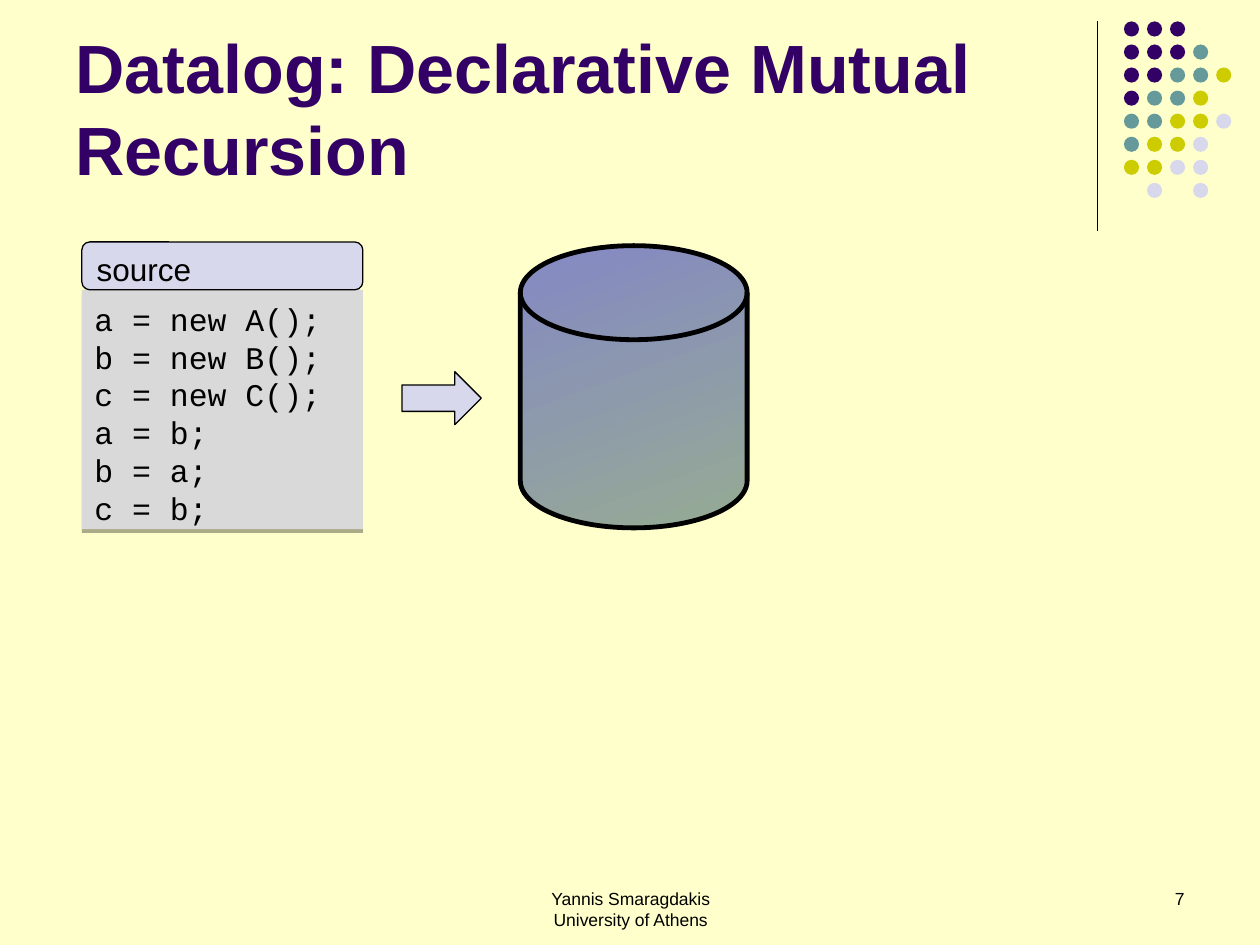
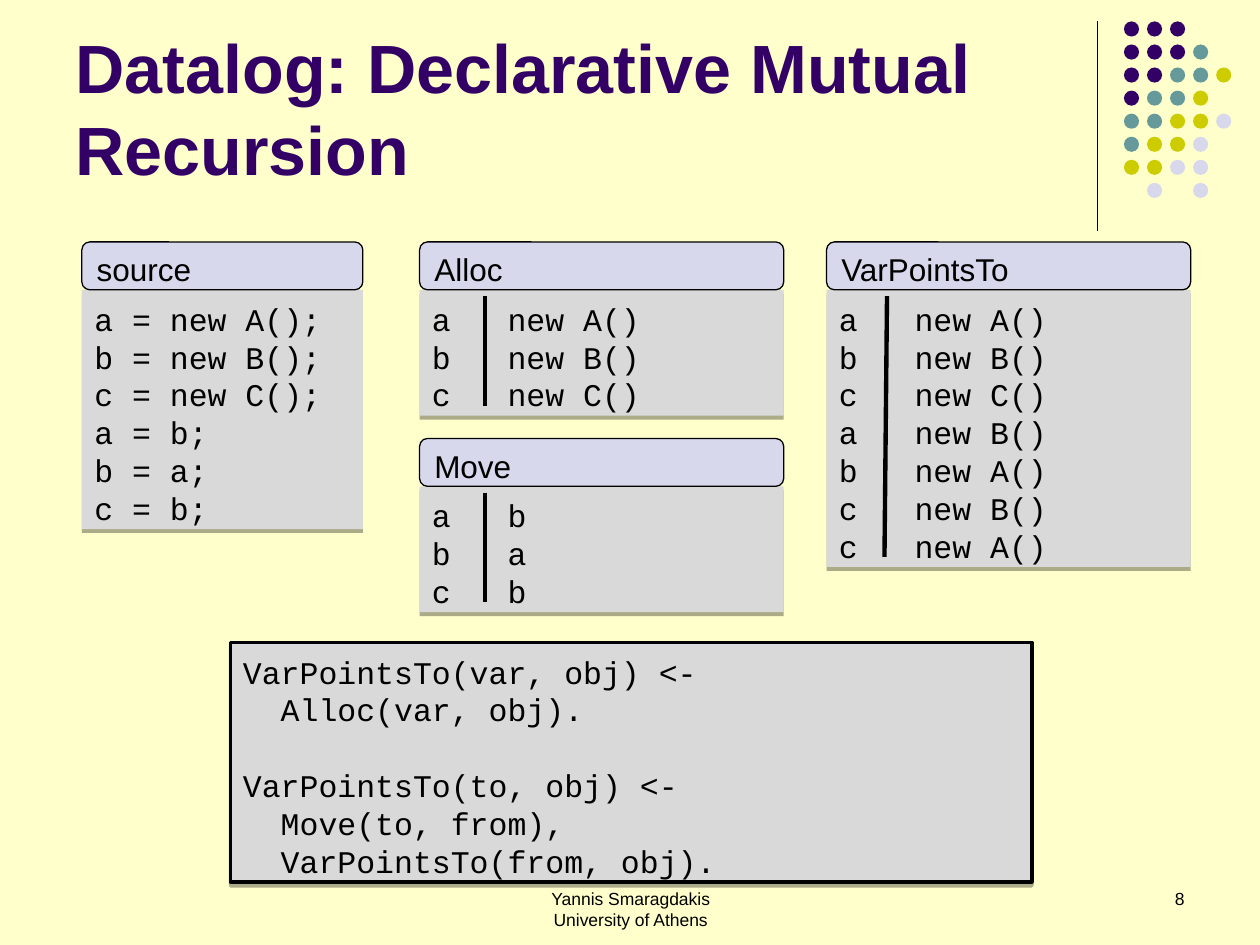
from lxml import etree
from pptx import Presentation
from pptx.dml.color import RGBColor
from pptx.enum.shapes import MSO_CONNECTOR, MSO_SHAPE
from pptx.enum.text import MSO_ANCHOR, MSO_AUTO_SIZE, PP_ALIGN
from pptx.oxml.ns import qn
from pptx.util import Inches, Pt

LEFT, CENTER, RIGHT = PP_ALIGN.LEFT, PP_ALIGN.CENTER, PP_ALIGN.RIGHT
TOP, BOTTOM = MSO_ANCHOR.TOP, MSO_ANCHOR.BOTTOM
NO_AUTOFIT = MSO_AUTO_SIZE.NONE
STRAIGHT = MSO_CONNECTOR.STRAIGHT
RECT, ROUNDED = MSO_SHAPE.RECTANGLE, MSO_SHAPE.ROUNDED_RECTANGLE
OVAL, ARROW = MSO_SHAPE.OVAL, MSO_SHAPE.RIGHT_ARROW
DISK = MSO_SHAPE.FLOWCHART_MAGNETIC_DISK

CREAM = RGBColor(0xFF, 0xFF, 0xCC)
PURPLE = RGBColor(0x33, 0x00, 0x66)
TEAL = RGBColor(0x66, 0x99, 0x99)
OLIVE = RGBColor(0xCC, 0xCC, 0x00)
LAVENDER = RGBColor(0xD8, 0xD8, 0xEC)
GREY = RGBColor(0xD9, 0xD9, 0xD9)
BLACK = RGBColor(0x00, 0x00, 0x00)
DISK_GREEN = RGBColor(0x96, 0xAB, 0x94)
DISK_BLUE = RGBColor(0x84, 0x88, 0xC4)

SANS, MONO = "Arial", "Courier New"
LEADING = 1.2

# Grid of 100 columns by 75 rows
WIDTH, HEIGHT = Inches(10), Inches(7.5)
COL, ROW = WIDTH / 100, HEIGHT / 75
HEADER_ROWS, LINE_ROWS, BODY_TOP = 3.8, 3, 23

TITLE = "Datalog: Declarative Mutual Recursion"
FOOTER = ["Yannis Smaragdakis", "University of Athens"]
DOT_COLOURS = {"P": PURPLE, "T": TEAL, "O": OLIVE, "L": LAVENDER}
DOTS = ["PPP", "PPPT", "PPTTO", "PTTO", "TTOOL", "TOOL", "OOLL", " L L"]
SOURCE = ["a = new A();", "b = new B();", "c = new C();",
          "a = b;", "b = a;", "c = b;"]
ALLOC = [("a", "new A()"), ("b", "new B()"), ("c", "new C()")]
MOVE = [("a", "b"), ("b", "a"), ("c", "b")]
VAR_POINTS_TO = ALLOC + [("a", "new B()"), ("b", "new A()"),
                         ("c", "new B()"), ("c", "new A()")]
RULES = [["VarPointsTo(var, obj) <-", "  Alloc(var, obj)."],
         ["VarPointsTo(to, obj) <-", "  Move(to, from),",
          "  VarPointsTo(from, obj)."]]


def grid(x, y, w, h):
    return round(x * COL), round(y * ROW), round(w * COL), round(h * ROW)


def write(tf, lines, size=18, font=SANS, color=BLACK, bold=False, align=LEFT,
          anchor=TOP, tab=None, gap_before=()):
    """Write one paragraph per line; gap_before lists lines after a gap."""
    tf.word_wrap = True
    tf.auto_size = NO_AUTOFIT
    tf.vertical_anchor = anchor
    tf.margin_left = tf.margin_right = Inches(0.1)
    # Monospaced text sits a little lower in its box
    shift = 0.03 if font == MONO else 0
    tf.margin_top, tf.margin_bottom = Inches(0.05 + shift), Inches(0.05 - shift)
    for i, line in enumerate(lines):
        p = tf.paragraphs[0] if i == 0 else tf.add_paragraph()
        p.alignment = align
        p.line_spacing = Pt(size * LEADING)
        p.space_before = Pt(size * LEADING if i in gap_before else 0)
        if tab:
            tabs = etree.SubElement(p._p.get_or_add_pPr(), qn("a:tabLst"))
            etree.SubElement(tabs, qn("a:tab"), pos=str(Inches(tab)), algn="l")
        r = p.add_run()
        r.text = line
        r.font.name, r.font.size, r.font.bold = font, Pt(size), bold
        r.font.color.rgb = color


def add_shape(slide, kind, place, fill=None, line=None):
    s = slide.shapes.add_shape(kind, *grid(*place))
    s.shadow.inherit = False
    if fill is not None:
        s.fill.solid()
        s.fill.fore_color.rgb = fill
    if line:
        s.line.color.rgb = BLACK
        s.line.width = Pt(line)
    else:
        s.line.fill.background()
    return s


def add_line(slide, x1, y1, x2, y2, width):
    c = slide.shapes.add_connector(STRAIGHT, *grid(x1, y1, x2, y2))
    c.line.color.rgb = BLACK
    c.line.width = Pt(width)
    etree.SubElement(c._element.spPr, qn("a:effectLst"))


def add_text(slide, place, lines, **fmt):
    write(slide.shapes.add_textbox(*grid(*place)).text_frame, lines, **fmt)


def add_code(slide, place, lines, line=None, **fmt):
    """Grey code box with a hard shadow below it."""
    s = add_shape(slide, RECT, place, GREY, line)
    effects = s._element.spPr.find(qn("a:effectLst"))
    shadow = etree.SubElement(effects, qn("a:outerShdw"), blurRad="0",
                              dist=str(Pt(2.2)), dir="5400000", rotWithShape="0")
    tint = etree.SubElement(shadow, qn("a:srgbClr"), val=str(BLACK))
    etree.SubElement(tint, qn("a:alpha"), val="32000")
    write(s.text_frame, lines, font=MONO, **fmt)


def add_panel(slide, name, lines, x, w, top=BODY_TOP, **fmt):
    """Code box under a rounded header; its height follows the line count."""
    h = len(lines) * LINE_ROWS + 1
    add_code(slide, (x, top, w, h), lines, **fmt)
    header = add_shape(slide, ROUNDED, (x, top - HEADER_ROWS, w, HEADER_ROWS),
                       LAVENDER, 0.75)
    write(header.text_frame, [name])
    return h


def add_relation(slide, name, pairs, x, top=BODY_TOP, rule=(5.2, 5.2)):
    """Two-column relation; rule gives the divider's offsets at both ends."""
    lines = [f"{key}\t{value}" for key, value in pairs]
    h = add_panel(slide, name, lines, x, 28.9, top, tab=0.6)
    add_line(slide, x + rule[0], top + 0.5, x + rule[1], top + h - 0.8, 2.5)


def add_source(slide):
    add_panel(slide, "source", SOURCE, 6.5, 22.3)


def add_database(slide):
    disk = add_shape(slide, DISK, (41.3, 19.5, 18, 22.4), line=2.75)
    disk.fill.gradient()
    disk.fill.gradient_angle = 110
    for stop, position, color in zip(disk.fill.gradient_stops, (0, 1),
                                     (DISK_GREEN, DISK_BLUE)):
        stop.position = position
        stop.color.rgb = color
    add_shape(slide, ARROW, (31.9, 29.5, 6.3, 4.2), LAVENDER, 0.75)


def add_base_slide(prs, number):
    """Title, corner ornament and footer that every slide has."""
    slide = prs.slides.add_slide(prs.slide_layouts[5])
    add_line(slide, 87.1, 1.7, 87.1, 18.3, 0.75)
    for row, dots in enumerate(DOTS):
        for col, key in enumerate(dots):
            if key in DOT_COLOURS:
                place = (89.2 + col * 1.83, 1.7 + row * 1.83, 1.2, 1.2)
                add_shape(slide, OVAL, place, DOT_COLOURS[key])
    title = slide.shapes.title
    title.left, title.top, title.width, title.height = grid(5, 1.3, 82.5, 14.2)
    write(title.text_frame, [TITLE], size=39, color=PURPLE, bold=True,
          anchor=BOTTOM)
    add_text(slide, (34.2, 70, 31.7, 5), FOOTER, size=10, align=CENTER)
    add_text(slide, (71.7, 70, 23.3, 5), [str(number)], size=10, align=RIGHT)
    return slide


def main():
    prs = Presentation()
    prs.slide_width, prs.slide_height = WIDTH, HEIGHT
    background = prs.slide_master.background.fill
    background.solid()
    background.fore_color.rgb = CREAM

    # Source program going into the database
    slide = add_base_slide(prs, 7)
    add_source(slide)
    add_database(slide)

    # Relations and the rules that derive them
    slide = add_base_slide(prs, 8)
    add_source(slide)
    add_relation(slide, "Alloc", ALLOC, 33.3)
    add_relation(slide, "Move", MOVE, 33.3, top=38.6)
    first, second = RULES
    add_code(slide, (18.3, 51, 63.6, 19), first + second, line=2,
             gap_before=[len(first)])
    add_relation(slide, "VarPointsTo", VAR_POINTS_TO, 65.6, rule=(4.8, 4.6))

    prs.save("out.pptx")


if __name__ == "__main__":
    main()
